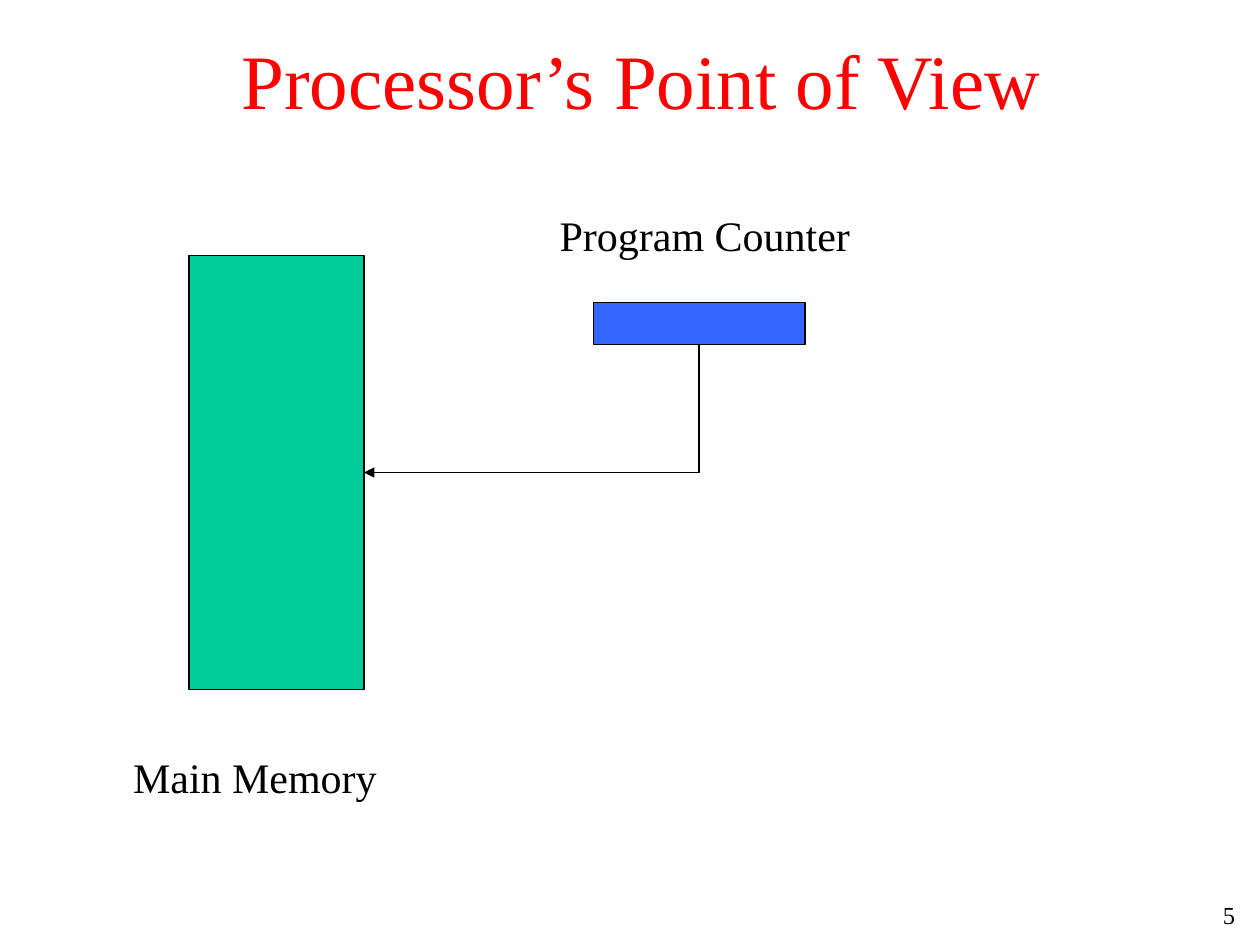
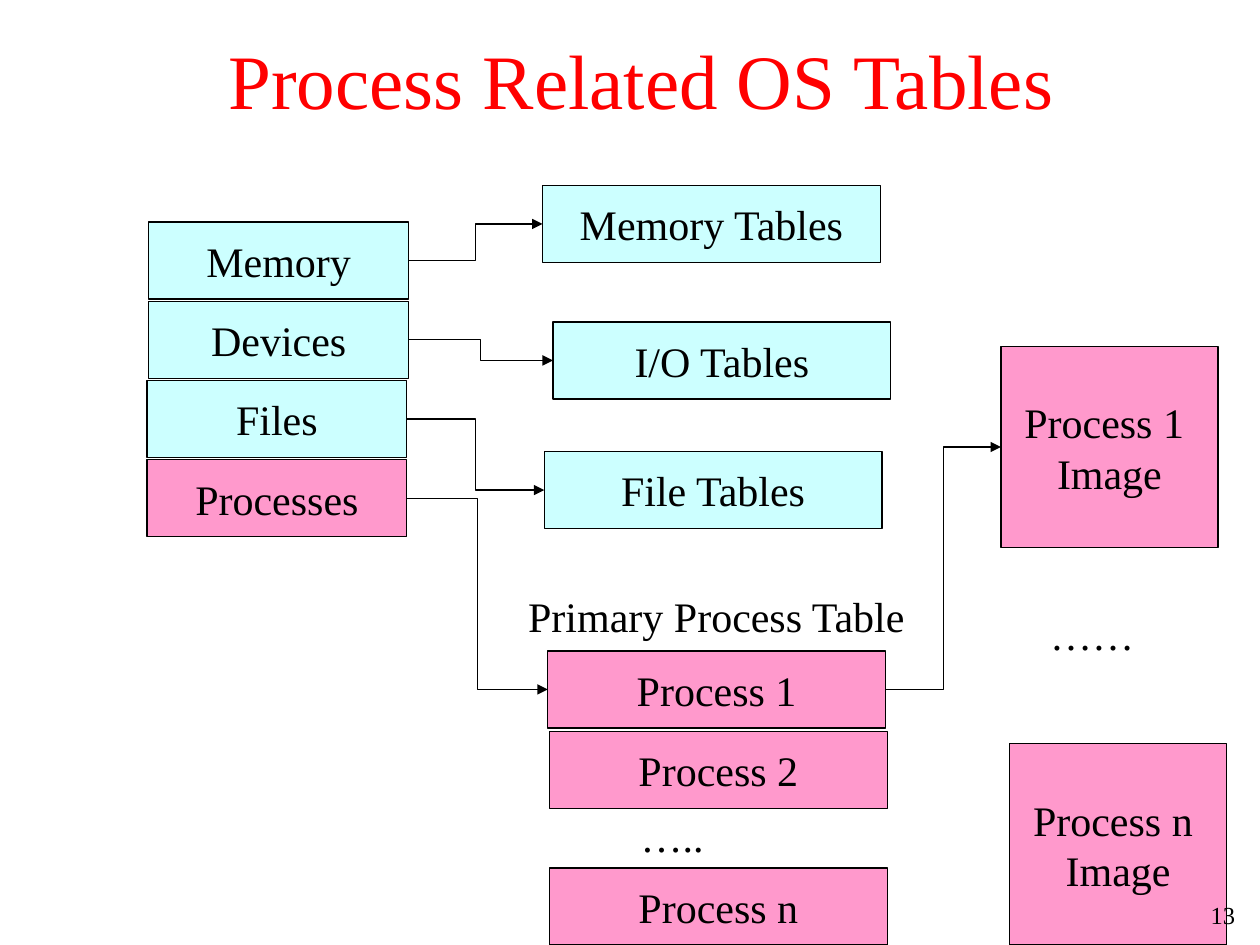
from typing import NamedTuple

from lxml.etree import SubElement
from pptx import Presentation
from pptx.dml.color import RGBColor
from pptx.enum.shapes import MSO_CONNECTOR as Link, MSO_SHAPE as Preset
from pptx.enum.text import MSO_ANCHOR as Anchor, MSO_AUTO_SIZE as Fit, PP_ALIGN as Align
from pptx.oxml.ns import qn
from pptx.shapes.autoshape import Shape
from pptx.shapes.connector import Connector
from pptx.slide import Slide
from pptx.util import Pt

FONT = "Times New Roman"
BODY_SIZE, TITLE_SIZE, NUMBER_SIZE = 24, 44, 14
BLACK, RED, GREEN, BLUE = "000000", "FF0000", "00CC99", "3366FF"
CYAN, PINK = "CCFFFF", "FF99CC"
LINE_WIDTH = 0.74
BOTTOM, LEFT, RIGHT = 2, 1, 3  # connection sites of a rectangle
ROW_HEIGHT = 44


class Box(NamedTuple):
    """A filled rectangle with optional text; lengths in points."""
    left: float
    top: float
    width: float
    height: float
    fill: str
    text: str = ""


class Label(NamedTuple):
    """Free text; lengths in points."""
    left: float
    top: float
    width: float
    text: str


def colour(value: str) -> RGBColor:
    """Turn a hex string into a colour."""
    return RGBColor.from_string(value)


def format_text(shape: Shape, size: float, tint: str, align: Align, anchor: Anchor, wrap: bool) -> None:
    """Give all text of a shape one style."""
    frame = shape.text_frame
    frame.word_wrap = wrap
    frame.vertical_anchor = anchor
    frame.auto_size = Fit.NONE
    for para in frame.paragraphs:
        para.alignment = align
        for span in para.runs:
            span.font.name = FONT
            span.font.size = Pt(size)
            span.font.color.rgb = colour(tint)


def draw_box(page: Slide, box: Box) -> Shape:
    """Draw an outlined rectangle with centred text."""
    shape = page.shapes.add_shape(
        Preset.RECTANGLE, Pt(box.left), Pt(box.top), Pt(box.width), Pt(box.height))
    shape.shadow.inherit = False
    shape.fill.solid()
    shape.fill.fore_color.rgb = colour(box.fill)
    shape.line.color.rgb = colour(BLACK)
    shape.line.width = Pt(LINE_WIDTH)
    if box.text:
        shape.text_frame.text = box.text
        format_text(shape, BODY_SIZE, BLACK, Align.CENTER, Anchor.MIDDLE, False)
    return shape


def draw_label(page: Slide, label: Label) -> None:
    """Draw a one-line label."""
    shape = page.shapes.add_textbox(Pt(label.left), Pt(label.top), Pt(label.width), Pt(36))
    shape.text_frame.text = label.text
    format_text(shape, BODY_SIZE, BLACK, Align.LEFT, Anchor.TOP, False)


def draw_arrow(page: Slide, start: Shape, start_site: int, end: Shape, end_site: int) -> Connector:
    """Join two boxes with an elbow arrow."""
    arrow = page.shapes.add_connector(Link.ELBOW, Pt(0), Pt(0), Pt(0), Pt(0))
    arrow.begin_connect(start, start_site)
    arrow.end_connect(end, end_site)
    arrow.line.color.rgb = colour(BLACK)
    arrow.line.width = Pt(LINE_WIDTH)
    properties = arrow.element.spPr
    SubElement(properties.find(qn("a:ln")), qn("a:tailEnd"), type="triangle")
    SubElement(properties, qn("a:effectLst"))
    return arrow


def bend_once(arrow: Connector) -> None:
    """Make an arrow run straight down, then straight left."""
    right, top, left, bottom = arrow.begin_x, arrow.begin_y, arrow.end_x, arrow.end_y
    across, drop = right - left, bottom - top
    properties = arrow.element.spPr
    properties.find(qn("a:prstGeom")).set("prst", "bentConnector2")
    frame = properties.find(qn("a:xfrm"))
    frame.attrib.clear()
    frame.set("rot", str(90 * 60000))
    arrow.left, arrow.top = (left + right - drop) // 2, (top + bottom - across) // 2
    arrow.width, arrow.height = drop, across


def start_page(deck: Presentation, title: str) -> Slide:
    """Add a slide with its title."""
    page = deck.slides.add_slide(deck.slide_layouts.get_by_name("Title Only"))
    shape = page.shapes.title
    shape.left, shape.top, shape.width, shape.height = Pt(60.5), Pt(0), Pt(612), Pt(90)
    shape.text_frame.text = title
    format_text(shape, TITLE_SIZE, RED, Align.CENTER, Anchor.MIDDLE, True)
    return page


def draw_number(page: Slide, number: int) -> None:
    """Write the page number in the lower right corner."""
    shape = page.shapes.add_textbox(Pt(674), Pt(511), Pt(39), Pt(29))
    shape.text_frame.text = str(number)
    format_text(shape, NUMBER_SIZE, BLACK, Align.RIGHT, Anchor.TOP, True)


def build_processor_page(deck: Presentation) -> None:
    """Show the program counter pointing into main memory."""
    page = start_page(deck, "Processor’s Point of View")
    memory = draw_box(page, Box(108, 146, 100, 248, GREEN))
    counter = draw_box(page, Box(339, 173, 121, 24, BLUE))
    draw_label(page, Label(69, 426, 153, "Main Memory"))
    draw_label(page, Label(312.75, 116, 180, "Program Counter"))
    bend_once(draw_arrow(page, counter, BOTTOM, memory, RIGHT))
    draw_number(page, 5)


def build_tables_page(deck: Presentation) -> None:
    """Show the system tables and where each one leads."""
    page = start_page(deck, "Process Related OS Tables")
    resources = [
        draw_box(page, Box(left, 126.9 + 45.3 * row, 148.5, ROW_HEIGHT, fill, text))
        for row, (left, fill, text) in enumerate([
            (85, CYAN, "Memory"), (85, CYAN, "Devices"),
            (84, CYAN, "Files"), (84, PINK, "Processes")])]
    tables = [
        draw_box(page, Box(left, top, 193, ROW_HEIGHT, fill, text))
        for left, top, fill, text in [
            (310, 106, CYAN, "Memory Tables"), (316, 184, CYAN, "I/O Tables"),
            (311, 258, CYAN, "File Tables"), (313, 372, PINK, "Process 1"),
            (314, 418, PINK, "Process 2"), (314, 496, PINK, "Process n")]]
    images = [
        draw_box(page, Box(left, top, 124, 115, PINK, f"Process {name} \nImage"))
        for left, top, name in [(572, 198, "1"), (577, 425, "n")]]
    for label in [Label(294.75, 334, 232, "Primary Process Table"),
                  Label(359, 459.5, 50, "….."),
                  Label(593, 344, 62, "……")]:
        draw_label(page, label)
    for resource, table in zip(resources, tables):
        draw_arrow(page, resource, RIGHT, table, LEFT)
    draw_arrow(page, tables[3], RIGHT, images[0], LEFT)
    draw_number(page, 13)


def main() -> None:
    """Build and save the deck."""
    deck = Presentation()
    deck.slide_width, deck.slide_height = Pt(720), Pt(540)
    build_processor_page(deck)
    build_tables_page(deck)
    deck.save("out.pptx")


main()
